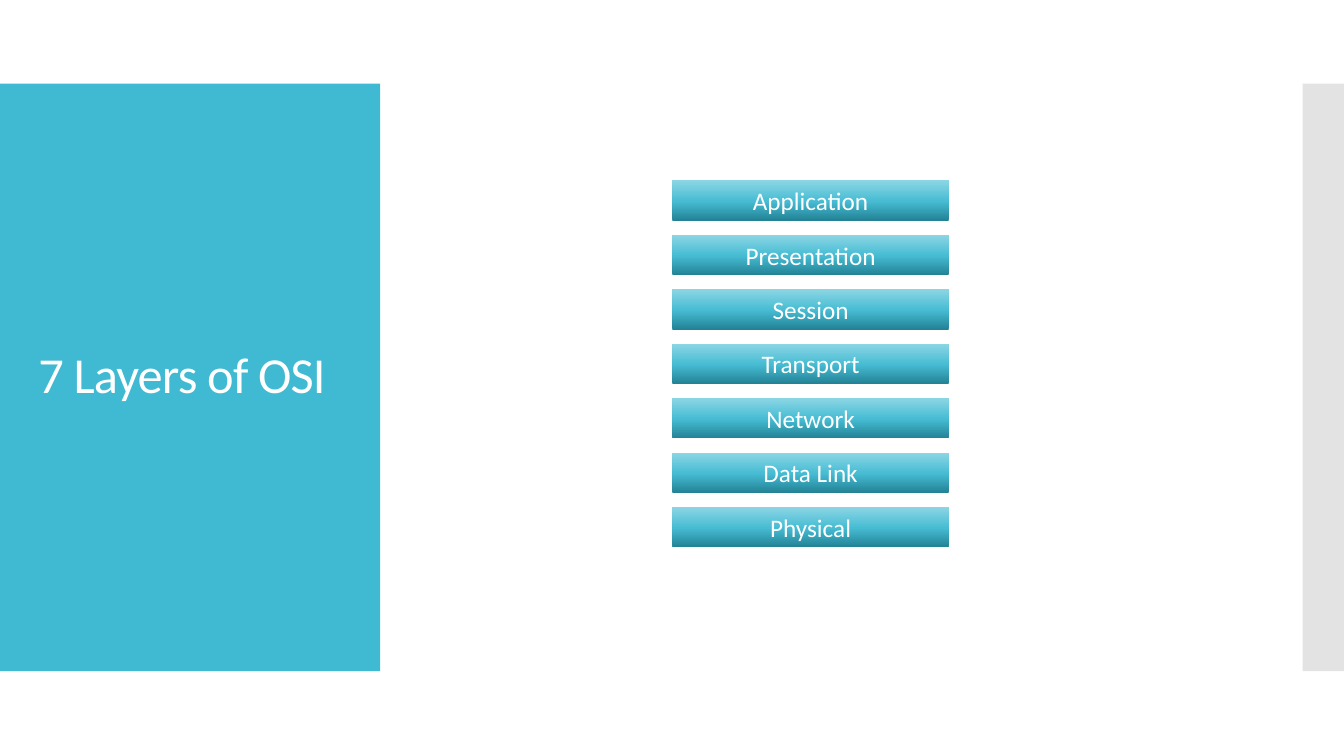
"""Build a slide that lists the seven layers of the OSI model."""
import copy
import dataclasses

import lxml.etree
import pptx
import pptx.dml.color
import pptx.enum.shapes
import pptx.enum.text
import pptx.oxml.ns
import pptx.util

Inches = pptx.util.Inches
qn = pptx.oxml.ns.qn


@dataclasses.dataclass(frozen=True)
class Theme:
    """Hold the colours, type sizes and font."""
    teal: str = "40BAD2"
    grey: str = "C8C8C8"
    white: str = "FFFFFF"
    ramp: tuple = ((0, "238295"), (0.48, "46BCD3"), (1, "8CD6E4"))
    head: int = 36
    label: int = 18
    font: str = "Calibri"


THEME = Theme()
LAYERS = ("Application", "Presentation", "Session", "Transport",
          "Network", "Data Link", "Physical")
LEFT, TOP, WIDTH, HEIGHT, PITCH = 6.67, 1.79, 2.74, 0.4, 0.54


def color(code):
    """Turn a hex code into a colour."""
    return pptx.dml.color.RGBColor.from_string(code)


def style(para, size):
    """Format the runs of a paragraph in white."""
    for run in para.runs:
        run.font.name = THEME.font
        run.font.size = pptx.util.Pt(size)
        run.font.color.rgb = color(THEME.white)


def add_rect(shapes, left, top, width, height):
    """Add a plain rectangle without line or shadow."""
    rect = shapes.add_shape(
        pptx.enum.shapes.MSO_SHAPE.RECTANGLE,
        Inches(left), Inches(top), Inches(width), Inches(height))
    rect.shadow.inherit = False
    rect.line.fill.background()
    return rect


def add_panel(shapes, left, width, code, alpha=100):
    """Add a side panel with a solid, possibly sheer, fill."""
    panel = add_rect(shapes, left, 0.83, width, 5.83)
    panel.fill.solid()
    panel.fill.fore_color.rgb = color(code)
    if alpha < 100:
        tint = panel.element.spPr.find(qn("a:solidFill"))[0]
        lxml.etree.SubElement(tint, qn("a:alpha"), val=str(alpha * 1000))


def shade(shape):
    """Fill a shape with the gradient, rising from dark to light."""
    shape.fill.gradient()
    shape.fill.gradient_angle = 90
    stops = shape.element.spPr.find(qn("a:gradFill")).find(qn("a:gsLst"))
    stops.insert(1, copy.deepcopy(stops[0]))
    for stop, (place, code) in zip(shape.fill.gradient_stops, THEME.ramp):
        stop.position = place
        stop.color.rgb = color(code)


def add_layer(shapes, index, name):
    """Add one labelled bar of the stack."""
    bar = add_rect(shapes, LEFT, TOP + index * PITCH, WIDTH, HEIGHT)
    shade(bar)
    bar.text_frame.text = name
    para = bar.text_frame.paragraphs[0]
    para.alignment = pptx.enum.text.PP_ALIGN.CENTER
    style(para, THEME.label)


def set_title(slide, text):
    """Place and format the title in front of the panels."""
    title = slide.shapes.title
    title.left, title.top = Inches(0.28), Inches(1.23)
    title.width, title.height = Inches(3.22), Inches(5.03)
    frame = title.text_frame
    frame.text = text
    frame.word_wrap = True
    frame.auto_size = pptx.enum.text.MSO_AUTO_SIZE.NONE
    frame.vertical_anchor = pptx.enum.text.MSO_ANCHOR.MIDDLE
    para = frame.paragraphs[0]
    para.alignment = pptx.enum.text.PP_ALIGN.LEFT
    para.line_spacing = 0.9
    style(para, THEME.head)
    para.runs[0].font._element.set("spc", "-60")
    slide.shapes.element.append(title.element)


def main():
    """Build and save the slide."""
    deck = pptx.Presentation()
    deck.slide_width, deck.slide_height = Inches(13.33), Inches(7.5)
    slide = deck.slides.add_slide(deck.slide_layouts[5])
    add_panel(slide.shapes, 0, 3.77, THEME.teal)
    add_panel(slide.shapes, 12.92, 0.41, THEME.grey, 50)
    set_title(slide, "7 Layers of OSI")
    stack = slide.shapes.add_group_shape()
    for index, name in enumerate(LAYERS):
        add_layer(stack.shapes, index, name)
    deck.save("out.pptx")


if __name__ == "__main__":
    main()
